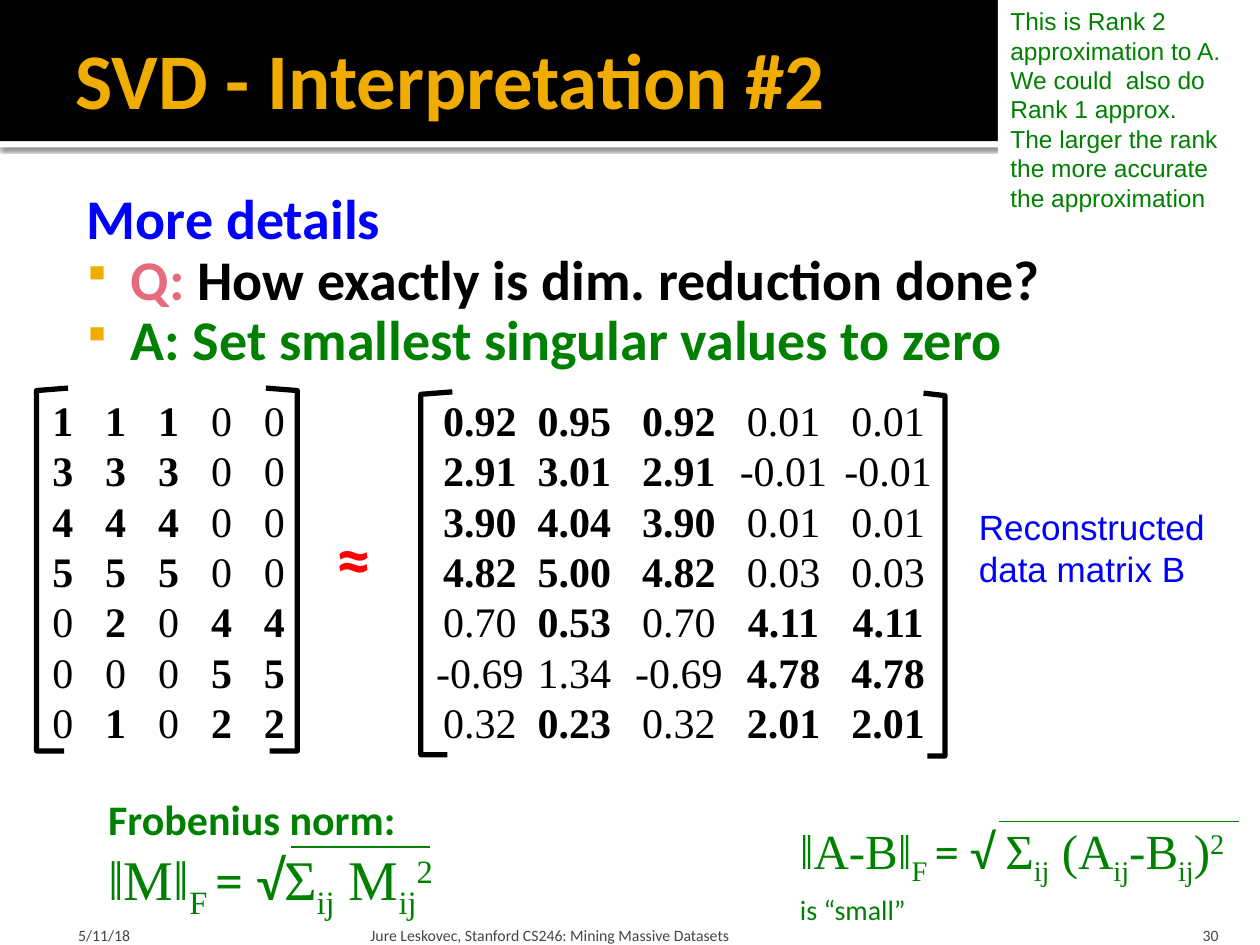
import lxml.etree
import pptx
import pptx.dml.color
import pptx.enum.shapes
import pptx.enum.text
import pptx.oxml.ns
import pptx.util

Inch = pptx.util.Inches
qn = pptx.oxml.ns.qn
ALIGN = pptx.enum.text.PP_ALIGN
ANCHOR = pptx.enum.text.MSO_ANCHOR

GOLD, GREEN, BLUE, BLACK, WHITE = "F0AD00", "008000", "0000FF", "000000", "FFFFFF"
SANS, SERIF, PLAIN = "Calibri", "Times New Roman", "Arial"

DATA = ["1 1 1 0 0", "3 3 3 0 0", "4 4 4 0 0", "5 5 5 0 0",
        "0 2 0 4 4", "0 0 0 5 5", "0 1 0 2 2"]
REBUILT = ["0.92 0.95 0.92 0.01 0.01", "2.91 3.01 2.91 -0.01 -0.01",
           "3.90 4.04 3.90 0.01 0.01", "4.82 5.00 4.82 0.03 0.03",
           "0.70 0.53 0.70 4.11 4.11", "-0.69 1.34 -0.69 4.78 4.78",
           "0.32 0.23 0.32 2.01 2.01"]


def color(text):
    return pptx.dml.color.RGBColor.from_string(text)


def style(size, hue, name=SANS, bold=False, base=0):
    return {"size": size, "color": hue, "name": name, "bold": bold, "base": base}


def node(parent, tag, **attrs):
    return lxml.etree.SubElement(parent, qn(tag), attrs)


def write(para, runs):
    """Add (text, style) runs to a paragraph."""
    for text, look in runs:
        if text == "\n":
            para.add_line_break()
            continue
        run = para.add_run()
        run.text = text
        values = {"size": pptx.util.Pt(look["size"]),
                  "name": look["name"], "bold": look["bold"]}
        for key, value in values.items():
            setattr(run.font, key, value)
        run.font.color.rgb = color(look["color"])
        if look["base"]:
            run._r.get_or_add_rPr().set("baseline", str(look["base"] * 1000))


def fill_text(frame, paras, ins=(0.1, 0.05, 0.1, 0.05), wrap=True,
              anchor=ANCHOR.TOP, align=ALIGN.LEFT):
    sides = ("margin_left", "margin_top", "margin_right", "margin_bottom")
    values = {side: Inch(gap) for side, gap in zip(sides, ins)}
    values.update(word_wrap=wrap, vertical_anchor=anchor)
    for key, value in values.items():
        setattr(frame, key, value)
    for i, runs in enumerate(paras):
        para = frame.add_paragraph() if i else frame.paragraphs[0]
        para.alignment = align
        write(para, runs)
    return frame.paragraphs


def label(slide, box, paras, **opts):
    shape = slide.shapes.add_textbox(*map(Inch, box))
    return fill_text(shape.text_frame, paras, **opts)


def panel(slide, box, hue):
    kind = pptx.enum.shapes.MSO_SHAPE.RECTANGLE
    shape = slide.shapes.add_shape(kind, *map(Inch, box))
    shape.shadow.inherit = False
    shape.fill.solid()
    shape.fill.fore_color.rgb = color(hue)
    shape.line.fill.background()
    return shape


def header(slide, box):
    x, y, w, h = box
    # White edge with a soft shadow below the black band
    edge = panel(slide, (x, y + h, w, 0.05), WHITE)
    effects = edge._element.spPr.find(qn("a:effectLst"))
    shade = node(effects, "a:outerShdw", blurRad=str(pptx.util.Pt(2.5)),
                 dist=str(pptx.util.Pt(0.8)), dir="5400000", rotWithShape="0")
    node(node(shade, "a:srgbClr", val=BLACK), "a:alpha", val="60000")
    panel(slide, box, BLACK)
    label(slide, (x + 0.5, y + 0.08, w - 1, 1.08),
          [[("SVD - Interpretation #2", style(45, GOLD, bold=True))]],
          ins=(0.1, 0.05, 0.05, 0.05), anchor=ANCHOR.MIDDLE)


def outline(slide, box):
    def bold(hue):
        return style(32, hue, bold=True)

    paras = label(slide, box, [
        [("More details", bold(BLUE))],
        [("Q:", bold("E66C7D")), (" How exactly is dim. reduction done?", bold(BLACK))],
        [("A: Set smallest singular values to zero", bold(GREEN))],
    ], ins=(0.06, 0.1, 0.1, 0.05))
    for i, para in enumerate(paras):
        props = para._p.get_or_add_pPr()
        props.set("marL", str(Inch(0.48)))
        props.set("indent", str(Inch(-0.35)))
        if i:
            # Square bullet: this symbol font draws § as ■
            node(node(props, "a:buClr"), "a:srgbClr", val=GOLD)
            node(props, "a:buSzPct", val="80000")
            node(props, "a:buFont", typeface="Wingdings", charset="2")
            node(props, "a:buChar", char="§")
        para.line_spacing = 0.9


def bracket(slide, x, y, lip, foot):
    """Square bracket whose lips point right when positive, left when negative."""
    path = slide.shapes.build_freeform(Inch(x + lip), Inch(y), scale=1.0)
    points = [(x, y + 0.02), (x, y + 2.88), (x + foot, y + 2.88)]
    path.add_line_segments([(Inch(a), Inch(b)) for a, b in points], close=False)
    shape = path.convert_to_shape()
    shape.shadow.inherit = False
    shape.fill.background()
    shape.line.color.rgb = color(BLACK)
    shape.line.width = pptx.util.Pt(3)


def matrix(slide, box, rows, stops):
    """Rows on centred tab stops; cells that are non-zero in DATA are bold."""
    paras = []
    for row, mask in zip(rows, DATA):
        cells = zip(row.split(), mask.split())
        paras.append([("\t" + cell, style(24, BLACK, SERIF, flag != "0"))
                      for cell, flag in cells])
    for para in label(slide, box, paras):
        tabs = node(para._p.get_or_add_pPr(), "a:tabLst")
        for stop in stops:
            node(tabs, "a:tab", pos=str(Inch(stop)), algn="ctr")


def compare(slide, box):
    x, y, w, h = box
    bracket(slide, x + 0.04, y, 0.25, 0.22)
    bracket(slide, x + 2.11, y, -0.25, -0.22)
    matrix(slide, (x, y, 2.17, h), DATA, [0.15 + 0.42 * i for i in range(5)])
    label(slide, (x + 2.32, y + 0.95, 0.51, 0.77),
          [[("≈", style(40, "FF0000", bold=True))]],
          wrap=False, anchor=ANCHOR.MIDDLE)
    bracket(slide, x + 3.09, y + 0.03, 0.25, 0.21)
    bracket(slide, x + 7.25, y + 0.04, -0.17, -0.14)
    matrix(slide, (x + 3.08, y, 4.75, h), REBUILT,
           [0.38] + [1.13 + 0.83 * i for i in range(4)])
    blue = style(20, BLUE, PLAIN)
    label(slide, (x + 7.42, y + 0.88, 2.09, 0.77),
          [[("Reconstructed ", blue), ("\n", blue), ("data matrix B", blue)]],
          wrap=False)


def math_runs(size, parts):
    """Parts starting with _ are subscripts, with ^ superscripts, with = sans."""
    runs = []
    for part in parts:
        base = {"_": -25, "^": 30}.get(part[0], 0)
        face = SANS if part[0] == "=" else SERIF
        runs.append((part[1:] if base else part, style(size, GREEN, face, base=base)))
    return runs


def formula(slide, box, paras, bar):
    """Formula text with the bar of its root, given as x, y and length in the box."""
    lines = label(slide, box, paras, wrap=False)
    x, y = box[0] + bar[0], box[1] + bar[1]
    kind = pptx.enum.shapes.MSO_CONNECTOR.STRAIGHT
    line = slide.shapes.add_connector(kind, *map(Inch, (x, y, x + bar[2], y)))
    line.line.color.rgb = color(GREEN)
    line.line.width = pptx.util.Pt(1)
    node(line._element.spPr, "a:effectLst")
    return lines


def norms(slide, box):
    x, y = box[:2]
    formula(slide, (x, y, 2.91, 1.04), [
        [("Frobenius norm:", style(24, GREEN, bold=True))],
        math_runs(32, ["ǁMǁ", "_F ", "= √", "Σ", "_ij", " M", "_ij", "^2"]),
    ], (1.55, 0.47, 1.1))
    lines = formula(slide, (x + 5.49, y + 0.21, 3.71, 1.04), [
        math_runs(28, ["ǁA-Bǁ", "_F ", "= √ ", "Σ", "_ij", " (A", "_ij",
                       "-B", "_ij", ")", "^2"]),
        [("is “small”", style(16, GREEN))],
    ], (1.68, 0.06, 1.9))
    lines[1].space_before = pptx.util.Pt(3)


def note(slide, box):
    green = style(14, GREEN, PLAIN)
    fill_text(panel(slide, box, WHITE).text_frame, [
        [("This is Rank 2 approximation to A. We could  also do Rank 1 approx.", green)],
        [("The larger the rank the more accurate the approximation", green)],
    ])


def footer(slide, box):
    x, y, w, h = box
    parts = [(0, 2.33, 0.12, "5/11/18", ALIGN.LEFT),
             (2.39, 6.02, 0.05,
              "Jure Leskovec, Stanford CS246: Mining Massive Datasets", ALIGN.LEFT),
             (8.47, 0.8, 0.1, "30", ALIGN.RIGHT)]
    for left, wide, pad, text, align in parts:
        label(slide, (x + left, y, wide, h), [[(text, style(9, "454545"))]],
              ins=(pad, 0.05, pad, 0), anchor=ANCHOR.BOTTOM, align=align)


def main():
    deck = pptx.Presentation()
    deck.slide_width, deck.slide_height = Inch(10), Inch(7.5)
    slide = deck.slides.add_slide(deck.slide_layouts[6])
    header(slide, (0, 0, 10, 1.12))
    outline(slide, (0.5, 1.42, 9, 5.75))
    footer(slide, (0.5, 7.2, 9.27, 0.3))
    compare(slide, (0.25, 3.08, 9.51, 2.93))
    norms(slide, (0.76, 6.25, 9.2, 1.25))
    note(slide, (7.92, 0, 2.08, 1.75))
    deck.save("out.pptx")


if __name__ == "__main__":
    main()
